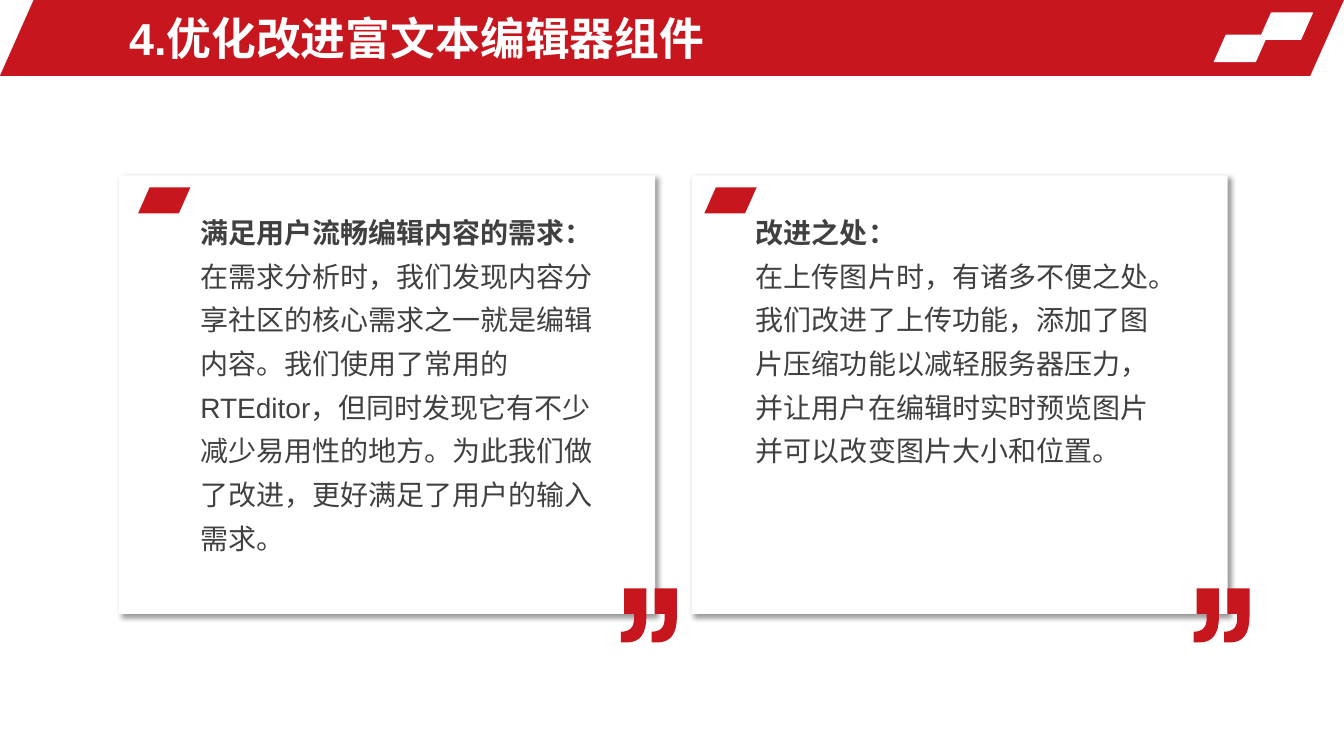
from lxml.etree import SubElement
from pptx import Presentation
from pptx.dml.color import RGBColor
from pptx.enum.shapes import MSO_SHAPE
from pptx.enum.text import MSO_ANCHOR, MSO_AUTO_SIZE, PP_ALIGN
from pptx.oxml.ns import qn
from pptx.util import Cm, Pt

RED = RGBColor(0xC8, 0x16, 0x1E)
WHITE = RGBColor(0xFF, 0xFF, 0xFF)
GREY = RGBColor(0x40, 0x40, 0x40)

CARD_TOP, CARD_WIDTH, CARD_HEIGHT = 4.42, 13.51, 11.05
MARK_SIZE = (1.32, 0.66)
COMMA_GAP = 0.77

# Card left, mark left, text left, text height, heading, body
CARDS = [
    (3, 3.48, 4.8, 9.04, "满足用户流畅编辑内容的需求：",
     "在需求分析时，我们发现内容分享社区的核心需求之一就是编辑内容。"
     "我们使用了常用的RTEditor，但同时发现它有不少减少易用性的地方。"
     "为此我们做了改进，更好满足了用户的输入需求。"),
    (17.43, 17.75, 18.8, 6.81, "改进之处：",
     "在上传图片时，有诸多不便之处。我们改进了上传功能，"
     "添加了图片压缩功能以减轻服务器压力，"
     "并让用户在编辑时实时预览图片并可以改变图片大小和位置。"),
]


def curve(*controls, steps=8):
    """Points along a cubic Bézier curve."""
    weights = (1, 3, 3, 1)
    return [tuple(sum(w * (1 - t) ** (3 - k) * t ** k * pt[axis]
                      for k, (w, pt) in enumerate(zip(weights, controls)))
                  for axis in (0, 1))
            for t in (n / steps for n in range(steps + 1))]


COMMA = [
    (0.08, 0), (0.64, 0),
    *curve((0.64, 0.71), (0.64, 1.14), (0.48, 1.36), (0.15, 1.36)),
    (0, 1.36),
    *curve((0, 1.09), (0.23, 1.09), (0.33, 0.97), (0.33, 0.76)),
    (0.33, 0.64), (0.08, 0.64),
]


class Deck:
    title_font = {"name": "Arial", "size": Pt(32), "bold": True}
    body_font = {"name": "Arial", "size": Pt(20)}

    def __init__(self):
        self.prs = Presentation()
        self.prs.slide_width, self.prs.slide_height = Cm(33.87), Cm(19.05)
        self.s = self.prs.slides.add_slide(self.prs.slide_layouts[5])

    def style(self, font, color, **formats):
        for key, value in formats.items():
            setattr(font, key, value)
        font.color.rgb = color

    def place(self, sp, *box):
        for key, value in zip(("left", "top", "width", "height"), box):
            setattr(sp, key, Cm(value))

    def paint(self, sp, fill, line=None):
        sp.shadow.inherit = False
        sp.fill.solid()
        sp.fill.fore_color.rgb = fill
        if line is None:
            sp.line.fill.background()
        else:
            sp.line.color.rgb = line
            sp.line.width = Pt(1)

    def shape(self, kind, adj, box, fill, line=None):
        sp = self.s.shapes.add_shape(kind, *map(Cm, box))
        sp.adjustments[0] = adj
        self.paint(sp, fill, line)
        return sp

    def slant(self, box, fill, line=None):
        return self.shape(MSO_SHAPE.PARALLELOGRAM, 0.444, box, fill, line)

    def title(self, text, box):
        sp = self.s.shapes.title
        self.place(sp, *box)
        tf = sp.text_frame
        tf.text = text
        tf.word_wrap = True
        tf.auto_size = MSO_AUTO_SIZE.NONE
        tf.vertical_anchor = MSO_ANCHOR.MIDDLE
        p = tf.paragraphs[0]
        p.alignment = PP_ALIGN.LEFT
        self.style(p.runs[0].font, WHITE, **self.title_font)

    def card(self, box):
        sp = self.shape(MSO_SHAPE.ROUNDED_RECTANGLE, 0, box, WHITE)
        effects = sp._element.spPr.find(qn("a:effectLst"))
        shadow = SubElement(effects, qn("a:outerShdw"), blurRad=str(Pt(4)),
                            dist=str(Pt(3)), dir=str(45 * 60000),
                            algn="tl", rotWithShape="0")
        color = SubElement(shadow, qn("a:prstClr"), val="black")
        SubElement(color, qn("a:alpha"), val="40000")

    def text(self, heading, body, box):
        tf = self.s.shapes.add_textbox(*map(Cm, box)).text_frame
        tf.word_wrap = True
        tf.auto_size = MSO_AUTO_SIZE.SHAPE_TO_FIT_TEXT
        for p, text, bold in ((tf.paragraphs[0], heading, True),
                              (tf.add_paragraph(), body, False)):
            p.line_spacing = 1.3
            r = p.add_run()
            r.text = text
            self.style(r.font, GREY, bold=bold, **self.body_font)

    def quote(self, left, top):
        commas = [[(Cm(left + dx + x), Cm(top + y)) for x, y in COMMA]
                  for dx in (0, COMMA_GAP)]
        first, second = commas
        builder = self.s.shapes.build_freeform(*first[0])
        builder.add_line_segments(first[1:])
        builder.move_to(*second[0])
        builder.add_line_segments(second[1:])
        self.paint(builder.convert_to_shape(), RED)


def main():
    deck = Deck()

    # Header band, sent behind the title
    band = deck.slant((0, 0, 33.87, 1.91), RED)
    tree = deck.s.shapes._spTree
    tree.remove(band._element)
    tree.insert(2, band._element)
    for left, top in ((31.75, 0.33), (30.61, 0.89)):
        deck.slant((left, top, *MARK_SIZE), WHITE, WHITE)
    deck.title("4.优化改进富文本编辑器组件", (3, 0.13, 19.66, 1.65))

    # Cards with corner mark, text and closing quote
    for left, mark_left, text_left, text_height, heading, body in CARDS:
        deck.card((left, CARD_TOP, CARD_WIDTH, CARD_HEIGHT))
        deck.slant((mark_left, CARD_TOP + 0.3, *MARK_SIZE), RED)
        deck.text(heading, body, (text_left, 5.05, 10.82, text_height))
        deck.quote(left + 12.65, CARD_TOP + 10.41)

    deck.prs.save("out.pptx")


if __name__ == "__main__":
    main()
